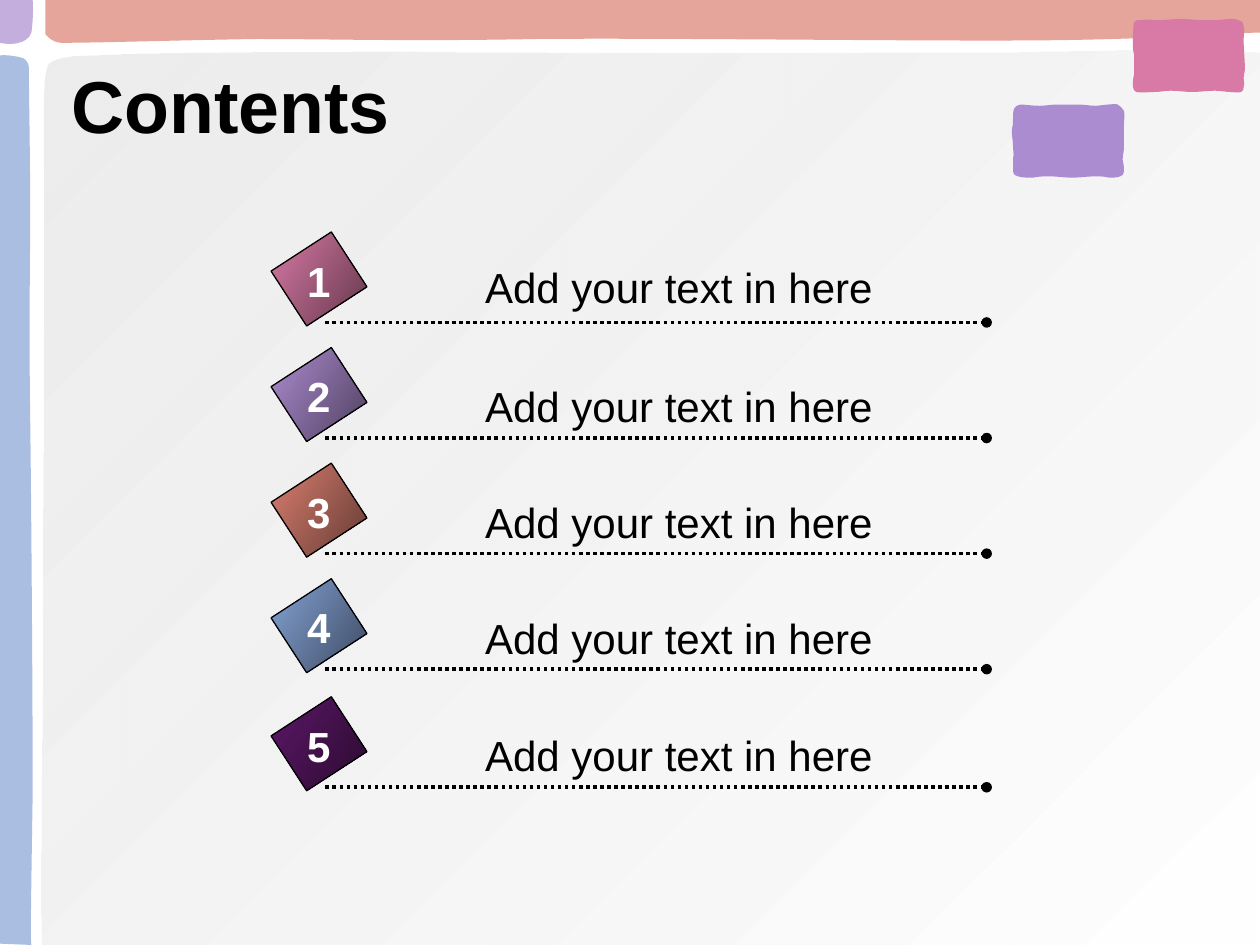
from lxml.etree import SubElement
from pptx import Presentation
from pptx.dml.color import RGBColor as Rgb
from pptx.enum.dml import MSO_LINE as Dash
from pptx.enum.shapes import MSO_CONNECTOR as Connector, MSO_SHAPE as Preset
from pptx.enum.text import MSO_ANCHOR as Anchor, MSO_AUTO_SIZE as AutoSize, PP_ALIGN as Align
from pptx.oxml.ns import qn
from pptx.util import Cm, Pt

THEME = {
    "font": "Arial", "ink": "000000", "number": "FFFFFF",
    "title_size": 42, "text_size": 24,
    "panel": ("E6E6E6", "FFFFFF"),
    "coral": "DA7F70", "blue": "85A3D5", "violet": "AC8CD0", "pink": "D87AA5",
}

TITLE = "Contents"
# Label, chip gradient, rule height and label top in cm
ENTRIES = [
    ("Add your text in here", (THEME["pink"], "64384C"), 6.5, 5.14),
    ("Add your text in here", (THEME["violet"], "504160"), 8.83, 7.54),
    ("Add your text in here", (THEME["coral"], "653B34"), 11.16, 9.88),
    ("Add your text in here", (THEME["blue"], "3E4B63"), 13.49, 12.22),
    ("Add your text in here", ("5C1767", "2B0B30"), 15.87, 14.58),
]

# Outlines on a 2.54 cm grid: the first pair starts, a pair is a line end,
# six numbers are two control points and the end of a curve.
GRID = Cm(2.54)
PANEL = [
    (10, 7.5), (10, 0.42),
    (8.86, 0.38, 8.55, 0.42, 7.6, 0.42), (6.66, 0.42, 5.5, 0.43, 4.33, 0.42),
    (3.16, 0.41, 1.23, 0.41, 0.57, 0.45), (0.36, 0.48, 0.36, 0.49, 0.35, 0.73),
    (0.34, 0.96, 0.35, 1.1, 0.35, 1.82), (0.35, 2.56, 0.34, 4.12, 0.34, 5.06),
    (0.34, 6.01, 0.32, 6.63, 0.33, 7.5),
]
TOP_BAND = [
    (10, 0), (10, 0.26),
    (10, 0.25, 9.28, 0.31, 8.32, 0.32), (7.36, 0.33, 5.31, 0.3, 4.26, 0.31),
    (3.21, 0.33, 2.65, 0.31, 2.03, 0.31), (1.4, 0.32, 0.77, 0.34, 0.49, 0.34),
    (0.41, 0.34, 0.36, 0.27, 0.36, 0.27), (0.36, 0),
]
SIDE_BAND = [
    (0, 7.49), (0.25, 7.5),
    (0.24, 7.5, 0.25, 6.98, 0.26, 6.28), (0.26, 5.58, 0.25, 4.07, 0.24, 3.3),
    (0.23, 2.54, 0.24, 2.12, 0.24, 1.67), (0.24, 1.21, 0.23, 0.75, 0.23, 0.54),
    (0.23, 0.48, 0.18, 0.46, 0.18, 0.46), (0.07, 0.43, 0, 0.44, 0, 0.44),
]
CORNER = [
    (0, 0), (0.26, 0),
    (0.27, 0.12, 0.25, 0.26, 0.25, 0.26), (0.23, 0.31, 0.19, 0.33, 0.15, 0.34),
    (0.08, 0.36, 0, 0.34, 0, 0.34),
]
PINK_PATCH = [
    (9, 0.18),
    (9.01, 0.16, 9.02, 0.16, 9.06, 0.16), (9.09, 0.15, 9.15, 0.16, 9.2, 0.16),
    (9.25, 0.16, 9.32, 0.15, 9.38, 0.15), (9.43, 0.15, 9.49, 0.16, 9.54, 0.16),
    (9.58, 0.16, 9.61, 0.16, 9.65, 0.16), (9.69, 0.16, 9.73, 0.15, 9.76, 0.15),
    (9.79, 0.15, 9.81, 0.15, 9.83, 0.16), (9.85, 0.16, 9.87, 0.18, 9.87, 0.21),
    (9.88, 0.24, 9.87, 0.27, 9.87, 0.32), (9.87, 0.38, 9.88, 0.49, 9.88, 0.54),
    (9.88, 0.58, 9.87, 0.59, 9.87, 0.62), (9.87, 0.64, 9.88, 0.67, 9.87, 0.69),
    (9.87, 0.71, 9.87, 0.72, 9.85, 0.73), (9.83, 0.74, 9.79, 0.73, 9.76, 0.73),
    (9.73, 0.73, 9.69, 0.72, 9.64, 0.72), (9.59, 0.72, 9.52, 0.73, 9.46, 0.73),
    (9.41, 0.73, 9.34, 0.72, 9.29, 0.72), (9.24, 0.72, 9.21, 0.73, 9.17, 0.73),
    (9.12, 0.73, 9.05, 0.74, 9.02, 0.73), (8.99, 0.72, 9, 0.7, 8.99, 0.68),
    (8.99, 0.66, 8.99, 0.64, 9, 0.59), (9, 0.55, 9, 0.47, 9, 0.43),
    (8.99, 0.39, 8.99, 0.37, 8.99, 0.35), (8.99, 0.32, 8.99, 0.29, 8.99, 0.26),
    (9, 0.23, 8.99, 0.2, 9, 0.18),
]
VIOLET_PATCH = [
    (8.05, 0.86),
    (8.06, 0.84, 8.07, 0.84, 8.1, 0.83), (8.14, 0.83, 8.19, 0.84, 8.25, 0.84),
    (8.3, 0.84, 8.33, 0.83, 8.39, 0.83), (8.44, 0.83, 8.51, 0.83, 8.56, 0.83),
    (8.6, 0.83, 8.66, 0.84, 8.7, 0.84), (8.73, 0.84, 8.76, 0.83, 8.79, 0.83),
    (8.82, 0.83, 8.85, 0.82, 8.87, 0.83), (8.89, 0.84, 8.91, 0.86, 8.92, 0.88),
    (8.93, 0.91, 8.92, 0.94, 8.92, 1), (8.92, 1.05, 8.92, 1.12, 8.92, 1.17),
    (8.92, 1.21, 8.91, 1.23, 8.91, 1.27), (8.92, 1.3, 8.92, 1.35, 8.92, 1.36),
    (8.92, 1.38, 8.91, 1.4, 8.89, 1.4), (8.87, 1.41, 8.83, 1.41, 8.8, 1.41),
    (8.77, 1.4, 8.73, 1.4, 8.68, 1.4), (8.64, 1.4, 8.57, 1.41, 8.51, 1.41),
    (8.45, 1.41, 8.38, 1.4, 8.34, 1.4), (8.29, 1.4, 8.24, 1.4, 8.2, 1.41),
    (8.15, 1.41, 8.11, 1.41, 8.08, 1.4), (8.05, 1.39, 8.04, 1.38, 8.04, 1.36),
    (8.04, 1.34, 8.04, 1.3, 8.04, 1.26), (8.05, 1.22, 8.04, 1.2, 8.04, 1.16),
    (8.04, 1.12, 8.03, 1.08, 8.03, 1.03), (8.04, 0.99, 8.04, 0.97, 8.04, 0.94),
    (8.04, 0.91, 8.04, 0.88, 8.05, 0.86),
]
# Outline, fill (a pair is a gradient), opacity in percent
BACKDROP = [
    (PANEL, THEME["panel"], 70),
    (TOP_BAND, THEME["coral"], 70),
    (SIDE_BAND, THEME["blue"], 70),
    (CORNER, THEME["violet"], 70),
    (PINK_PATCH, THEME["pink"], 100),
    (VIOLET_PATCH, THEME["violet"], 100),
]


def draw_outline(slide, outline):
    """Build a freeform through the segment ends, then bend its curved segments."""
    start, *segments = [[round(value * GRID) for value in segment] for segment in outline]
    builder = slide.shapes.build_freeform(*start)
    builder.add_line_segments([segment[-2:] for segment in segments], close=True)
    area = builder.convert_to_shape()
    edges = list(area._element.spPr.iter(qn("a:lnTo")))
    for edge, segment in zip(edges, segments):
        if len(segment) == 6:
            curve = edge.makeelement(qn("a:cubicBezTo"))
            for x, y in zip(segment[::2], segment[1::2]):
                SubElement(curve, qn("a:pt"), x=str(x - area.left), y=str(y - area.top))
            edge.getparent().replace(edge, curve)
    return area


def fill_gradient(shape, colors, angle):
    """Fill with two colours; the angle runs clockwise and ignores rotation."""
    shape.fill.gradient()
    shape.fill.gradient_angle = 360 - angle
    for stop, color in zip(shape.fill.gradient_stops, colors):
        stop.color.rgb = Rgb.from_string(color)
    shape._element.spPr.find(qn("a:gradFill")).set("rotWithShape", "0")


def add_backdrop(slide, outline, fill, opacity):
    area = draw_outline(slide, outline)
    area.shadow.inherit = False
    area.line.fill.background()
    if isinstance(fill, tuple):
        fill_gradient(area, fill, 45)
    else:
        area.fill.solid()
        area.fill.fore_color.rgb = Rgb.from_string(fill)
    if opacity < 100:
        first_color = area._element.spPr.find(".//" + qn("a:srgbClr"))
        SubElement(first_color, qn("a:alpha"), val=str(opacity * 1000))


def add_text(slide, text, box, size, color, bold=False, align=Align.LEFT, wrap=False):
    frame = slide.shapes.add_textbox(*map(Cm, box)).text_frame
    frame.text = text
    frame.word_wrap = wrap
    frame.auto_size = AutoSize.NONE if wrap else AutoSize.SHAPE_TO_FIT_TEXT
    frame.vertical_anchor = Anchor.MIDDLE if wrap else Anchor.TOP
    frame.paragraphs[0].alignment = align
    font = frame.paragraphs[0].runs[0].font
    font.name, font.size, font.bold = THEME["font"], Pt(size), bold
    font.color.rgb = Rgb.from_string(color)


def add_rule(slide, y):
    rule = slide.shapes.add_connector(Connector.STRAIGHT, Cm(6.56), Cm(y), Cm(19.89), Cm(y))
    rule.line.color.rgb = Rgb.from_string(THEME["ink"])
    rule.line.width = Pt(2)
    rule.line.dash_style = Dash.ROUND_DOT
    SubElement(rule.line._get_or_add_ln(), qn("a:tailEnd"), type="oval")
    SubElement(rule._element.spPr, qn("a:effectLst"))


def add_chip(slide, y, colors):
    chip = slide.shapes.add_shape(Preset.RECTANGLE, Cm(5.77), Cm(y), Cm(1.32), Cm(1.45))
    chip.rotation = 57
    chip.shadow.inherit = False
    fill_gradient(chip, colors, 33)
    chip.line.color.rgb = Rgb.from_string(THEME["ink"])
    chip.line.width = Pt(0.75)


def main():
    deck = Presentation()
    deck.slide_width, deck.slide_height = Cm(25.4), Cm(19.05)
    slide = deck.slides.add_slide(deck.slide_layouts[6])
    for outline, fill, opacity in BACKDROP:
        add_backdrop(slide, outline, fill, opacity)
    add_text(slide, TITLE, (1.19, 0.79, 18.69, 2.62), THEME["title_size"], THEME["ink"],
             bold=True, wrap=True)
    for number, (label, colors, rule_y, label_top) in enumerate(ENTRIES, 1):
        add_rule(slide, rule_y)
        add_chip(slide, rule_y - 1.6, colors)
        add_text(slide, str(number), (5.94, rule_y - 1.48, 0.97, 1.27),
                 THEME["text_size"], THEME["number"], bold=True, align=Align.CENTER)
        add_text(slide, label, (9.53, label_top, 8.38, 1.27), THEME["text_size"], THEME["ink"])
    deck.save("out.pptx")


if __name__ == "__main__":
    main()
